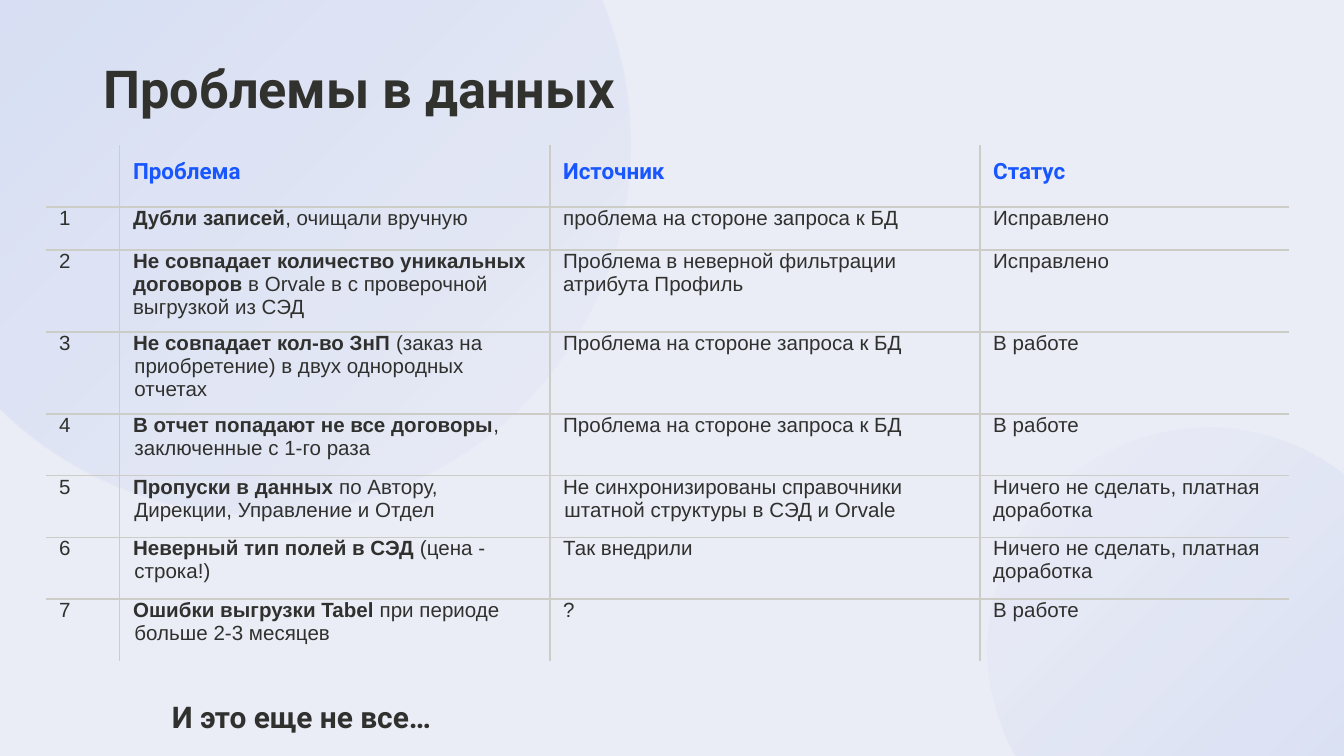
from dataclasses import dataclass

from lxml import etree
from pptx import Presentation
from pptx.dml.color import RGBColor
from pptx.enum.shapes import MSO_SHAPE
from pptx.enum.text import MSO_ANCHOR
from pptx.util import Inches, Pt

OVAL = MSO_SHAPE.OVAL
TOP = MSO_ANCHOR.TOP
DRAWING = "http://schemas.openxmlformats.org/drawingml/2006/main"


@dataclass(frozen=True)
class Theme:
    background: str = "EAECF6"
    glow: str = "91ADE9"
    title: str = "31312E"
    ink: str = "30312E"
    accent: str = "1856FF"
    rule: str = "CDCDC8"
    heading_font: str = "Roboto"
    body_font: str = "Arial"
    title_size: float = 28
    closing_size: float = 16
    header_size: float = 12
    body_size: float = 11


@dataclass(frozen=True)
class Style:
    font: str
    size: float
    color: str


@dataclass(frozen=True)
class Glow:
    left: float
    top: float
    diameter: float
    angle: int
    stops: tuple[tuple[int, int], ...]


@dataclass(frozen=True)
class Issue:
    strong: str
    plain: str
    source: str
    status: str
    height: float
    hanging: bool = True


THEME = Theme()
TITLE = Style(THEME.heading_font, THEME.title_size, THEME.title)
CLOSING = Style(THEME.heading_font, THEME.closing_size, THEME.ink)
HEADER = Style(THEME.heading_font, THEME.header_size, THEME.accent)
BODY = Style(THEME.body_font, THEME.body_size, THEME.ink)

GLOWS = (
    Glow(7.35, 3.18, 3.28, 45, ((0, 0), (10, 0), (90, 20), (100, 20))),
    Glow(-0.83, -1.69, 5.52, 225, ((0, 0), (75, 20), (100, 20))),
)
HEADINGS = ("", "Проблема", "Источник", "Статус")
COLUMN_WIDTHS = (0.55, 3.2, 3.2, 2.3)
HEADER_HEIGHT = 0.46
REQUEST = "Проблема на стороне запроса к БД"
FIXED = "Исправлено"
ACTIVE = "В работе"
PAID = "Ничего не сделать, платная доработка"
ISSUES = (
    Issue("Дубли записей", ", очищали вручную",
          "проблема на стороне запроса к БД", FIXED, 0.32, False),
    Issue("Не совпадает количество уникальных договоров ",
          "в Orvale в с проверочной выгрузкой из СЭД",
          "Проблема в неверной фильтрации атрибута Профиль", FIXED, 0.61, False),
    Issue("Не совпадает кол-во ЗнП ",
          "(заказ на приобретение) в двух однородных отчетах",
          REQUEST, ACTIVE, 0.61),
    Issue("В отчет попадают не все договоры", ", заключенные с 1-го раза",
          REQUEST, ACTIVE, 0.46),
    Issue("Пропуски в данных ", "по Автору, Дирекции, Управление и Отдел",
          "Не синхронизированы справочники штатной структуры в СЭД и Orvale",
          PAID, 0.46),
    Issue("Неверный тип полей в СЭД ", "(цена - строка!)",
          "Так внедрили", PAID, 0.46),
    Issue("Ошибки выгрузки Tabel", " при периоде больше 2-3 месяцев",
          "?", ACTIVE, 0.46),
)


def add_span(para, text: str, style: Style, bold: bool = False) -> None:
    span = para.add_run()
    span.text = text
    span.font.name = style.font
    span.font.size = Pt(style.size)
    span.font.bold = bold
    span.font.color.rgb = RGBColor.from_string(style.color)


def draw_glow(page, glow: Glow) -> None:
    circle = page.shapes.add_shape(
        OVAL, Inches(glow.left), Inches(glow.top),
        Inches(glow.diameter), Inches(glow.diameter))
    circle.shadow.inherit = False
    circle.line.fill.background()
    stops = "".join(
        f'<a:gs pos="{position * 1000}"><a:srgbClr val="{THEME.glow}">'
        f'<a:alpha val="{alpha * 1000}"/></a:srgbClr></a:gs>'
        for position, alpha in glow.stops)
    gradient = etree.fromstring(
        f'<a:gradFill xmlns:a="{DRAWING}" rotWithShape="1"><a:gsLst>{stops}</a:gsLst>'
        f'<a:lin ang="{glow.angle * 60000}" scaled="0"/></a:gradFill>')
    circle._element.spPr.insert(2, gradient)


def draw_text(page, text: str, style: Style, left: float, top: float,
              width: float, height: float, inset: float) -> None:
    box = page.shapes.add_textbox(
        Inches(left), Inches(top), Inches(width), Inches(height))
    frame = box.text_frame
    frame.word_wrap = True
    frame.vertical_anchor = TOP
    frame.margin_left = frame.margin_right = Inches(inset)
    frame.margin_top = frame.margin_bottom = Inches(inset)
    add_span(frame.paragraphs[0], text, style, True)


def set_borders(cell, edges: dict[str, bool]) -> None:
    properties = cell._tc.get_or_add_tcPr()
    for index, (edge, visible) in enumerate(edges.items()):
        paint = (f'<a:solidFill><a:srgbClr val="{THEME.rule}"/></a:solidFill>'
                 if visible else "<a:noFill/>")
        properties.insert(index, etree.fromstring(
            f'<a:{edge} xmlns:a="{DRAWING}" w="{Pt(1)}">{paint}</a:{edge}>'))


def set_hanging(para) -> None:
    properties = para._p.get_or_add_pPr()
    properties.set("marL", str(Inches(0.01)))
    properties.set("indent", str(-Inches(0.01)))


def draw_issues(page, left: float, top: float) -> None:
    heights = (HEADER_HEIGHT, *(issue.height for issue in ISSUES))
    last_row, last_column = len(heights) - 1, len(COLUMN_WIDTHS) - 1
    table = page.shapes.add_table(
        len(heights), len(COLUMN_WIDTHS), Inches(left), Inches(top),
        Inches(sum(COLUMN_WIDTHS)), Inches(sum(heights))).table
    table.horz_banding = False
    for column, width in zip(table.columns, COLUMN_WIDTHS):
        column.width = Inches(width)
    for row, height in zip(table.rows, heights):
        row.height = Inches(height)

    for row_index in range(len(heights)):
        for column_index in range(len(COLUMN_WIDTHS)):
            cell = table.cell(row_index, column_index)
            is_heading = row_index == 0 and HEADINGS[column_index] != ""
            cell.fill.background()
            cell.vertical_anchor = TOP
            cell.margin_left = cell.margin_right = Inches(0.1)
            cell.margin_top = cell.margin_bottom = Inches(0.1 if is_heading else 0)
            set_borders(cell, {
                "lnL": column_index > 0, "lnR": column_index < last_column,
                "lnT": row_index > 0, "lnB": row_index < last_row})

    for index, heading in enumerate(HEADINGS):
        if heading:
            add_span(table.cell(0, index).text_frame.paragraphs[0], heading, HEADER, True)

    for number, issue in enumerate(ISSUES, 1):
        paras = [cell.text_frame.paragraphs[0] for cell in table.rows[number].cells]
        add_span(paras[0], str(number), BODY)
        add_span(paras[1], issue.strong, BODY, True)
        add_span(paras[1], issue.plain, BODY)
        add_span(paras[2], issue.source, BODY)
        add_span(paras[3], issue.status, BODY)
        if issue.hanging:
            for para in paras[1:3]:
                set_hanging(para)


def main() -> None:
    deck = Presentation()
    deck.slide_width = Inches(10)
    deck.slide_height = deck.slide_width * 9 // 16
    page = deck.slides.add_slide(deck.slide_layouts[6])
    page.background.fill.solid()
    page.background.fill.fore_color.rgb = RGBColor.from_string(THEME.background)
    for glow in GLOWS:
        draw_glow(page, glow)
    draw_text(page, "Проблемы в данных", TITLE, 0.77, 0.42, 7.41, 0.34, 0)
    draw_issues(page, 0.34, 1.08)
    draw_text(page, "И это еще не все…", CLOSING, 1.18, 5.1, 3.99, 0.46, 0.1)
    deck.save("out.pptx")


if __name__ == "__main__":
    main()
